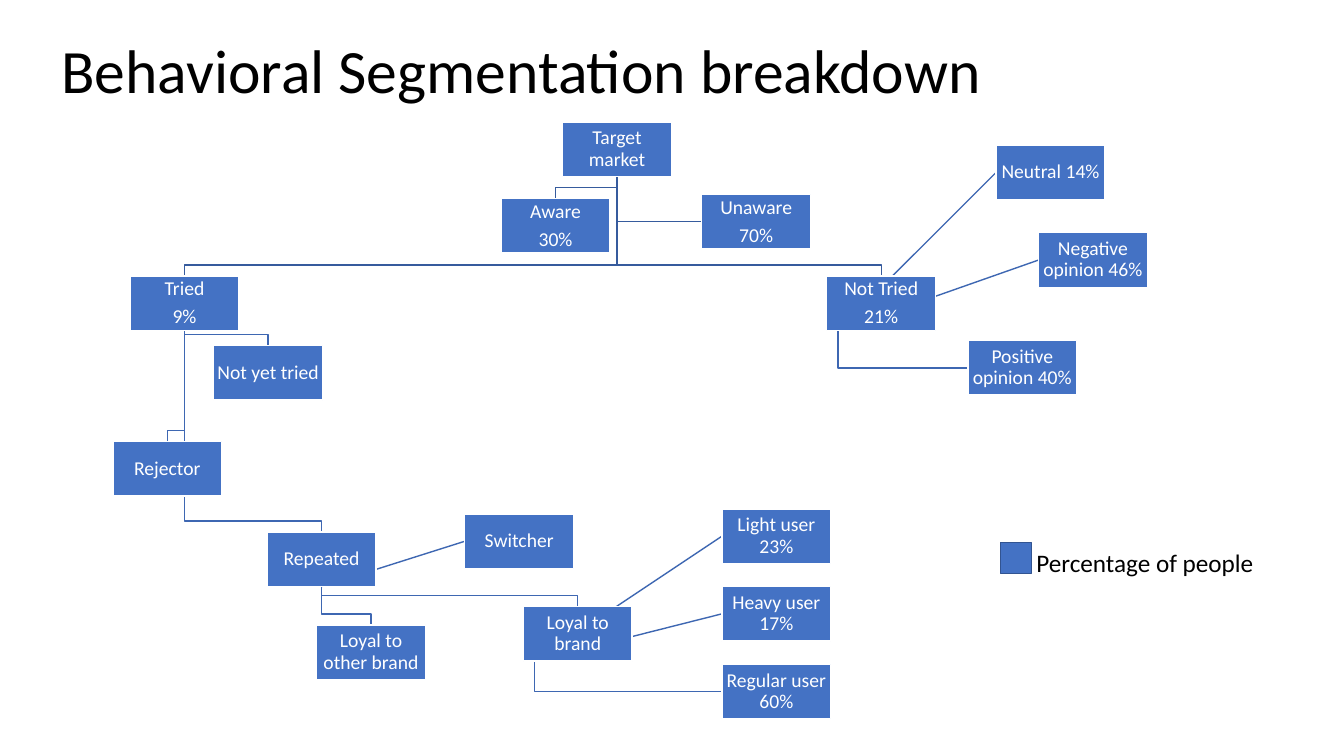
from lxml import etree
from pptx import Presentation
from pptx.dml.color import RGBColor
from pptx.enum.shapes import MSO_CONNECTOR, MSO_SHAPE
from pptx.enum.text import MSO_ANCHOR, PP_ALIGN
from pptx.oxml.ns import qn
from pptx.util import Inches, Pt

RECT = MSO_SHAPE.RECTANGLE
STRAIGHT = MSO_CONNECTOR.STRAIGHT
MIDDLE, TOP = MSO_ANCHOR.MIDDLE, MSO_ANCHOR.TOP
LEFT, CENTER = PP_ALIGN.LEFT, PP_ALIGN.CENTER

BLUE = RGBColor(0x44, 0x72, 0xC4)
DARK = RGBColor(0x36, 0x5B, 0x9D)
MID = RGBColor(0x3E, 0x67, 0xB2)
EDGE = RGBColor(0x32, 0x54, 0x91)
WHITE = RGBColor(0xFF, 0xFF, 0xFF)
BLACK = RGBColor(0, 0, 0)

TITLE = "Behavioral Segmentation breakdown"
LEGEND = "Percentage of people"
NODES = {
    "target": (5.58, 1.21, ["Target market"]),
    "aware": (4.97, 1.97, ["Aware", "30%"]),
    "tried": (1.29, 2.74, ["Tried", "9%"]),
    "rejector": (1.12, 4.38, ["Rejector"]),
    "not yet": (2.12, 3.43, ["Not yet tried"]),
    "repeated": (2.65, 5.28, ["Repeated"]),
    "other": (3.14, 6.2, ["Loyal to other brand"]),
    "switcher": (4.61, 5.1, ["Switcher"]),
    "loyal": (5.19, 6.02, ["Loyal to brand"]),
    "light": (7.16, 5.05, ["Light user 23%"]),
    "heavy": (7.16, 5.82, ["Heavy user 17%"]),
    "regular": (7.16, 6.59, ["Regular user 60%"]),
    "untried": (8.2, 2.74, ["Not Tried", "21%"]),
    "negative": (10.3, 2.31, ["Negative opinion 46%"]),
    "neutral": (9.88, 1.44, ["Neutral 14%"]),
    "positive": (9.6, 3.38, ["Positive opinion 40%"]),
    "unaware": (6.96, 1.93, ["Unaware", "70%"]),
}
LINKS = [
    ("target", "unaware", "side"),
    ("untried", "positive", "side"),
    ("untried", "neutral", "straight"),
    ("untried", "negative", "straight"),
    ("target", "untried", "tree"),
    ("loyal", "regular", "side"),
    ("loyal", "heavy", "straight"),
    ("loyal", "light", "straight"),
    ("repeated", "loyal", "tree"),
    ("repeated", "switcher", "straight"),
    ("repeated", "other", "tree"),
    ("tried", "repeated", "tree"),
    ("tried", "not yet", "tree"),
    ("tried", "rejector", "tree"),
    ("target", "tried", "tree"),
    ("target", "aware", "tree"),
]
HANGING = ("untried", "loyal")
WIDE, HIGH, GAP = 1.08, 0.54, 0.11


def style(item, **values):
    """Set each named value on the item."""
    for name, value in values.items():
        setattr(item, name, value)


def write(shape, lines, size, color, align, anchor, pad, wrap=True, **para):
    """Fill a shape with formatted paragraphs."""
    frame = shape.text_frame
    sides = ("margin_left", "margin_right", "margin_top", "margin_bottom")
    style(frame, text="\n".join(lines), word_wrap=wrap, vertical_anchor=anchor)
    style(frame, **dict(zip(sides, map(Inches, pad))))
    for part in frame.paragraphs:
        style(part, alignment=align, **para)
        for run in part.runs:
            style(run.font, name="Calibri", size=Pt(size))
            run.font.color.rgb = color


def box(slide, left, top, wide, high, edge):
    """Add a blue rectangle."""
    shape = slide.shapes.add_shape(RECT, *map(Inches, (left, top, wide, high)))
    shape.shadow.inherit = False
    shape.fill.solid()
    shape.fill.fore_color.rgb = BLUE
    shape.line.color.rgb = edge
    shape.line.width = Pt(1)
    return shape


def route(start, end, kind):
    """Return the points of a link between two nodes."""
    left, top = NODES[start][:2]
    x = left + (GAP if start in HANGING else WIDE / 2)
    y = top + HIGH
    left, top = NODES[end][:2]
    mid = top + HIGH / 2
    if kind == "straight":
        return [(x, y), (left, mid)]
    if kind == "side":
        return [(x, y), (x, mid), (left, mid)]
    mid = left + WIDE / 2
    return [(x, y), (x, top - GAP), (mid, top - GAP), (mid, top)]


def link(slide, start, end, kind):
    """Draw a link between two nodes."""
    spots = [(Inches(x), Inches(y)) for x, y in route(start, end, kind)]
    if kind == "straight":
        line = slide.shapes.add_connector(STRAIGHT, *spots[0], *spots[1])
        etree.SubElement(line.element.spPr, qn("a:effectLst"))
    else:
        maker = slide.shapes.build_freeform(*spots[0])
        maker.add_line_segments(spots[1:], close=False)
        line = maker.convert_to_shape()
        line.shadow.inherit = False
        line.fill.background()
    line.line.color.rgb = DARK if start == "target" else MID
    line.line.width = Pt(1)


def main():
    """Build the slide."""
    deck = Presentation()
    style(deck, slide_width=Inches(13.33), slide_height=Inches(7.5))
    slide = deck.slides.add_slide(deck.slide_layouts[5])
    title = slide.shapes.title
    style(title, left=Inches(0.51), top=Inches(0),
          width=Inches(11.5), height=Inches(1.45))
    pad = (0.1, 0.1, 0.05, 0.05)
    write(title, [TITLE], 44, BLACK, LEFT, MIDDLE, pad, line_spacing=0.9)
    for ends in LINKS:
        link(slide, *ends)
    for left, top, lines in NODES.values():
        node = box(slide, left, top, WIDE, HIGH, WHITE)
        write(node, lines, 14, WHITE, CENTER, MIDDLE, (0.01,) * 4,
              line_spacing=0.9, space_after=Pt(4.9))
    box(slide, 9.92, 5.38, 0.31, 0.31, EDGE)
    note = slide.shapes.add_textbox(*map(Inches, (10.18, 5.38, 2.38, 0.4)))
    write(note, [LEGEND], 18, BLACK, LEFT, TOP, pad, wrap=False)
    deck.save("out.pptx")


if __name__ == "__main__":
    main()
